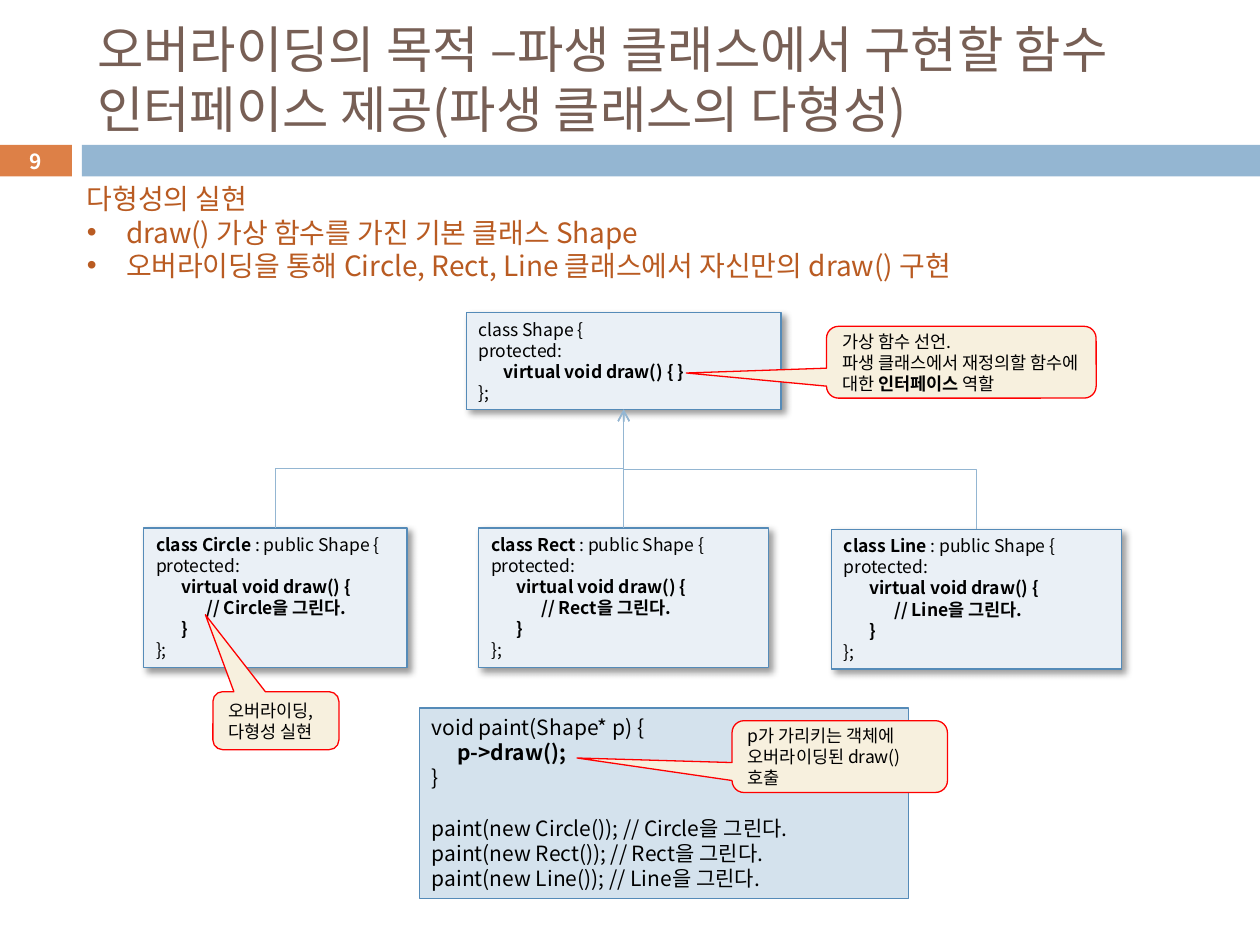
from lxml.etree import SubElement
from pptx import Presentation
from pptx.dml.color import RGBColor
from pptx.enum.shapes import MSO_CONNECTOR, MSO_SHAPE
from pptx.enum.text import MSO_ANCHOR, MSO_AUTO_SIZE, PP_ALIGN
from pptx.oxml import parse_xml
from pptx.oxml.ns import nsdecls, qn
from pptx.util import Inches, Pt

FONT = "Noto Sans CJK KR"
BLACK = RGBColor(0x00, 0x00, 0x00)
WHITE = RGBColor(0xFF, 0xFF, 0xFF)
BROWN = RGBColor(0x77, 0x5F, 0x55)
RUST = RGBColor(0xB9, 0x5B, 0x22)
ORANGE = RGBColor(0xDD, 0x80, 0x47)
BLUE = RGBColor(0x94, 0xB6, 0xD2)
EDGE_BLUE = RGBColor(0x55, 0x8B, 0xB8)
PALE_BLUE = RGBColor(0xEA, 0xF0, 0xF6)
LIGHT_BLUE = RGBColor(0xD4, 0xE2, 0xED)
CREAM = RGBColor(0xF7, 0xF0, 0xDE)
RED = RGBColor(0xFF, 0x00, 0x00)

deck = Presentation()
deck.slide_width, deck.slide_height = Inches(10), Inches(7.5)
CELL = deck.slide_width / 100  # the slide is a grid of 100 columns and 75 rows


def add_box(kind, cells, fill, edge=None):
    """Add a shape at (left, top, width, height) in grid cells."""
    box = page.shapes.add_shape(kind, *(round(cell * CELL) for cell in cells))
    box.shadow.inherit = False
    box.fill.solid()
    box.fill.fore_color.rgb = fill
    if edge is None:
        box.line.fill.background()
    else:
        box.line.color.rgb = edge
        box.line.width = Pt(0.75)
    return box


def write(box, lines, size, color=BLACK, anchor=MSO_ANCHOR.TOP, align=PP_ALIGN.LEFT):
    """Fill a box with one paragraph per line; text between bars is bold."""
    frame = box.text_frame
    frame.word_wrap = True
    frame.auto_size = MSO_AUTO_SIZE.NONE
    frame.vertical_anchor = anchor
    for number, line in enumerate(lines):
        para = frame.paragraphs[0] if number == 0 else frame.add_paragraph()
        para.alignment = align
        para.space_before = Pt(0)
        if "\t" in line:
            stops = SubElement(para._p.get_or_add_pPr(), qn("a:tabLst"))
            for stop in (0.2, 0.4):
                SubElement(stops, qn("a:tab"), pos=str(Inches(stop)), algn="l")
        for index, text in enumerate(line.split("|")):
            if not text:
                continue
            span = para.add_run()
            span.text = text
            looks = {"name": FONT, "size": Pt(size), "bold": index % 2 == 1}
            for name, value in looks.items():
                setattr(span.font, name, value)
            span.font.color.rgb = color
            SubElement(span._r.get_or_add_rPr(), qn("a:ea"), typeface=FONT)
    return frame.paragraphs


page = deck.slides.add_slide(deck.slide_layouts[1])

# Header band with the page number
number_box = add_box(MSO_SHAPE.RECTANGLE, (-0.1, 11.5, 5.8, 2.5), ORANGE)
write(number_box, ["|9|"], 11.9, WHITE, MSO_ANCHOR.MIDDLE, PP_ALIGN.CENTER)
add_box(MSO_SHAPE.RECTANGLE, (6.5, 11.5, 93.5, 2.5), BLUE)

# Title and list
title, body = page.placeholders
for holder, cells in ((title, (6.7, 2.5, 89.2, 7.4)), (body, (5.9, 13.9, 75.5, 9.1))):
    holder.left, holder.top, holder.width, holder.height = (
        round(cell * CELL) for cell in cells)
write(title, ["오버라이딩의 목적 –파생 클래스에서 구현할 함수 인터페이스 제공(파생 클래스의 다형성)"],
      28.8, BROWN, MSO_ANCHOR.MIDDLE)
heading, *points = write(body, [
    "다형성의 실현",
    "draw() 가상 함수를 가진 기본 클래스 Shape",
    "오버라이딩을 통해 Circle, Rect, Line 클래스에서 자신만의 draw() 구현",
], 16, RUST)
for para, indent, bullet in ((heading, 0, None), *((point, 0.31, "•") for point in points)):
    layout = para._p.get_or_add_pPr()
    layout.set("marL", str(Inches(indent)))
    layout.set("indent", str(-Inches(indent)))
    if bullet:
        SubElement(layout, qn("a:buFont"), typeface="Arial")
        SubElement(layout, qn("a:buChar"), char=bullet)
    else:
        SubElement(layout, qn("a:buNone"))

# Base class and derived classes
base = add_box(MSO_SHAPE.RECTANGLE, (37, 24.8, 25, 7.7), PALE_BLUE, EDGE_BLUE)
write(base, ["class Shape {", "protected:", "\t|virtual void draw() { }|", "};"], 10)
derived = []
for name, left, top, width in (
        ("Circle", 11.4, 41.9, 20.9), ("Rect", 38, 41.9, 23), ("Line", 66, 42, 23)):
    box = add_box(MSO_SHAPE.RECTANGLE, (left, top, width, 11.1), PALE_BLUE, EDGE_BLUE)
    write(box, [f"|class {name} |: public Shape {{", "protected:",
                "\t|virtual void draw() {|", f"|\t\t// {name}을 그린다.|", "|\t}|", "};"], 10)
    derived.append(box)

for box in (base, *derived):
    effects = box.element.spPr.find(qn("a:effectLst"))
    effects.append(parse_xml(
        f'<a:outerShdw {nsdecls("a")} blurRad="{Pt(4)}" dist="{Pt(3)}" dir="2700000" '
        'algn="tl" rotWithShape="0"><a:srgbClr val="000000"><a:alpha val="40000"/>'
        '</a:srgbClr></a:outerShdw>'))

# Inheritance arrows: each elbow leaves a derived class upwards, so it is turned by 270 degrees
for box in derived:
    arrow = page.shapes.add_connector(MSO_CONNECTOR.ELBOW, 0, 0, 0, 0)
    arrow.begin_connect(box, 0)
    arrow.end_connect(base, 2)
    start_x, end_x = box.left + box.width // 2, base.left + base.width // 2
    start_y, end_y = box.top, base.top + base.height
    run, rise = abs(end_x - start_x), start_y - end_y
    arrow.left = (start_x + end_x - rise) // 2
    arrow.top = (start_y + end_y - run) // 2
    arrow.width, arrow.height = rise, run
    frame = arrow.element.spPr.find(qn("a:xfrm"))
    for flip in ("flipH", "flipV"):
        frame.attrib.pop(flip, None)
    frame.set("rot", str(270 * 60000))
    if start_x > end_x:
        frame.set("flipV", "1")
    arrow.line.color.rgb = BLUE
    arrow.line.width = Pt(0.79)
    SubElement(arrow.line._get_or_add_ln(), qn("a:tailEnd"), type="arrow")
    SubElement(arrow.element.spPr, qn("a:effectLst"))

# Code that uses the classes
paint = add_box(MSO_SHAPE.RECTANGLE, (33.3, 56.2, 38.8, 15.1), LIGHT_BLUE, EDGE_BLUE)
paint_lines = write(paint, [
    "void paint(Shape* p) {", "\t|p->draw();|", "}",
    *(f"paint(new {name}()); // {name}을 그린다." for name in ("Circle", "Rect", "Line")),
], 12)
paint_lines[3].space_before = Pt(14.4)

# Callouts
for cells, pointer, lines in (
        ((58.1, 57.2, 17.1, 5.7), (-1.22, 0.02), ["p가 가리키는 객체에 오버라이딩된 draw() 호출"]),
        ((16.9, 54.9, 10, 4.6), (-0.56, -1.83), ["오버라이딩,", "다형성 실현"]),
        ((65.6, 25.9, 21.4, 5.7), (-1.02, 0.15),
         ["가상 함수 선언.", "파생 클래스에서 재정의할 함수에 대한 |인터페이스| 역할"])):
    callout = add_box(MSO_SHAPE.ROUNDED_RECTANGULAR_CALLOUT, cells, CREAM, RED)
    callout.adjustments[0], callout.adjustments[1] = pointer
    write(callout, lines, 10, anchor=MSO_ANCHOR.MIDDLE)

deck.save("out.pptx")
